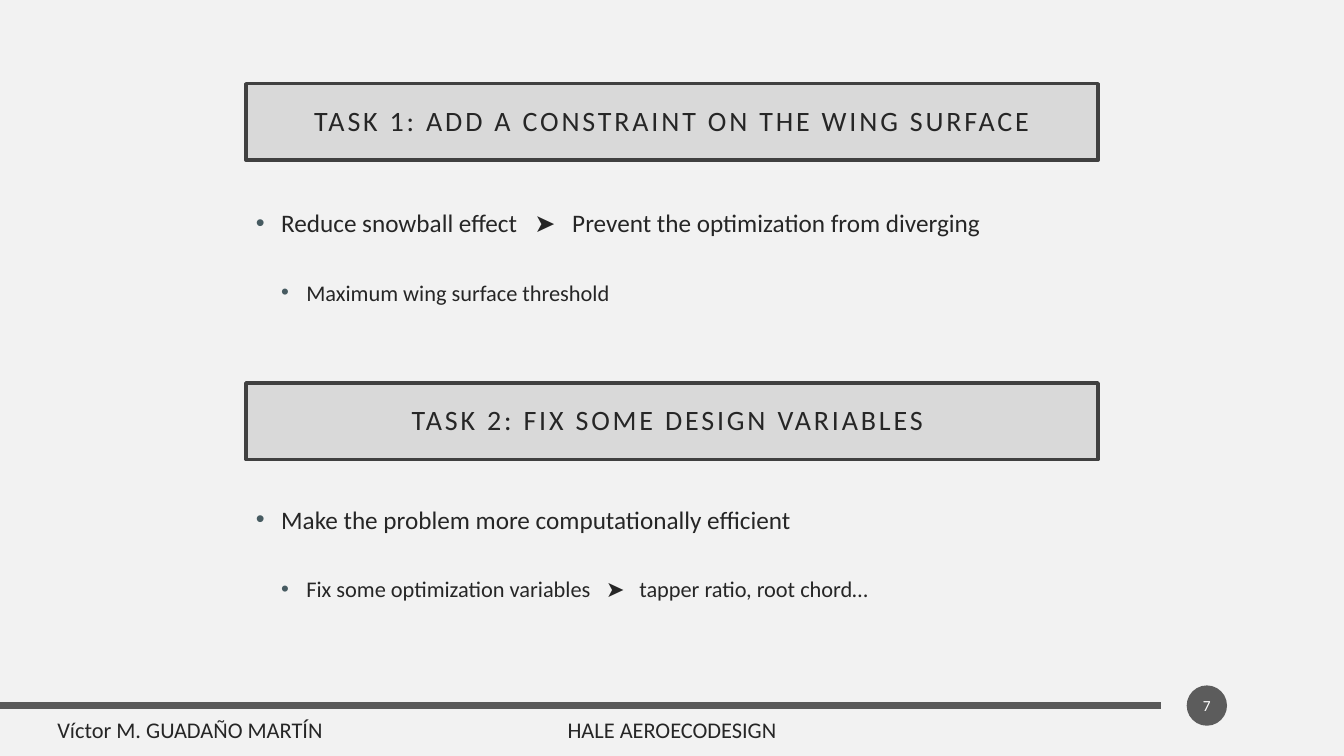
from lxml import etree
from pptx import Presentation
from pptx.dml.color import RGBColor
from pptx.enum import shapes, text
from pptx.oxml import ns
from pptx.util import Inches, Pt

# Content
TASKS = [
    ("TASK 1: ADD A CONSTRAINT ON THE WING SURFACE", 0.83, 1.71,
     ["Reduce snowball effect   ➤   Prevent the optimization from diverging",
      "Maximum wing surface threshold"]),
    ("TASK 2: FIX SOME DESIGN VARIABLES ", 3.8, 4.65,
     ["Make the problem more computationally efficient",
      "Fix some optimization variables   ➤   tapper ratio, root chord…"]),
]
FOOTERS = [
    ("Víctor M. GUADAÑO MARTÍN", 0.47, text.PP_ALIGN.LEFT),
    ("HALE AEROECODESIGN", 5.07, text.PP_ALIGN.CENTER),
]
PAGE_NUMBER = "7"

COLORS = {"background": "F2F2F2", "panel": "D9D9D9", "border": "404040",
          "text": "262626", "bullet": "475B61", "rule": "595959",
          "badge": "1D1D1D", "white": "FFFFFF"}
FONT = "Calibri"
LEFT, WIDTH = 2.44, 8.45
HEADING_HEIGHT, LIST_HEIGHT = 0.76, 2.0
LEVEL_SIZES = [18, 16]


def color(name):
    return RGBColor.from_string(COLORS[name])


def place(box, left, top, width, height):
    box.left, box.top = Inches(left), Inches(top)
    box.width, box.height = Inches(width), Inches(height)


def set_frame(frame, anchor, side=0.1, edge=0.05):
    frame.word_wrap = True
    frame.auto_size = text.MSO_AUTO_SIZE.NONE
    frame.vertical_anchor = anchor
    frame.margin_left = frame.margin_right = Inches(side)
    frame.margin_top = frame.margin_bottom = Inches(edge)


def add_span(para, words, size, ink="text"):
    span = para.add_run()
    span.text = words
    span.font.name, span.font.size = FONT, Pt(size)
    span.font.color.rgb = color(ink)
    return span


def add_text_box(left, top, width, height):
    box = page.shapes.add_textbox(Inches(left), Inches(top),
                                  Inches(width), Inches(height))
    set_frame(box.text_frame, text.MSO_ANCHOR.TOP)
    return box.text_frame


def format_heading(box, words, top):
    place(box, LEFT, top, WIDTH, HEADING_HEIGHT)
    box.fill.solid()
    box.fill.fore_color.rgb = color("panel")
    box.line.color.rgb = color("border")
    box.line.width = Pt(2.5)
    set_frame(box.text_frame, text.MSO_ANCHOR.MIDDLE, 0.2, 0.2)
    para = box.text_frame.paragraphs[0]
    para.alignment = text.PP_ALIGN.CENTER
    para.line_spacing = 0.9
    span = add_span(para, words, 20)
    span.font._element.set("spc", "200")


def add_bullet(para, level):
    para.level = level
    para.line_spacing = 2.0
    para.space_before = Pt(10)
    props = para._p.get_or_add_pPr()
    props.set("marL", str(Inches(0.25 * (level + 1))))
    props.set("indent", str(Inches(-0.25)))
    tint = etree.SubElement(props, ns.qn("a:buClr"))
    etree.SubElement(tint, ns.qn("a:srgbClr"), val=COLORS["bullet"])
    etree.SubElement(props, ns.qn("a:buFont"), typeface="Arial")
    etree.SubElement(props, ns.qn("a:buChar"), char="•")


# Slide
deck = Presentation()
deck.slide_width, deck.slide_height = Inches(13.33), Inches(7.5)
page = deck.slides.add_slide(deck.slide_layouts[5])
page.background.fill.solid()
page.background.fill.fore_color.rgb = color("background")

# Task headings and their bullet lists
for index, (heading, heading_top, list_top, points) in enumerate(TASKS):
    if index == 0:
        box = page.shapes.title
    else:
        box = page.shapes.add_shape(shapes.MSO_SHAPE.RECTANGLE, 0, 0, 0, 0)
        box.shadow.inherit = False
    format_heading(box, heading, heading_top)

    frame = add_text_box(LEFT, list_top, WIDTH, LIST_HEIGHT)
    for level, point in enumerate(points):
        para = frame.add_paragraph() if level else frame.paragraphs[0]
        add_bullet(para, level)
        add_span(para, point, LEVEL_SIZES[level])

# Footer rule
rule = page.shapes.add_connector(shapes.MSO_CONNECTOR.STRAIGHT,
                                 0, Inches(7), Inches(11.52), Inches(7))
rule.line.color.rgb = color("rule")
rule.line.width = Pt(4.5)
etree.SubElement(rule._element.spPr, ns.qn("a:effectLst"))

# Footer texts
for words, left, alignment in FOOTERS:
    para = add_text_box(left, 7.06, 3.19, 0.44).paragraphs[0]
    para.alignment = alignment
    para.space_before = Pt(10)
    add_span(para, words, 16)

# Page number badge, 70% opaque
badge = page.shapes.add_shape(shapes.MSO_SHAPE.OVAL, Inches(11.77), Inches(6.8),
                              Inches(0.4), Inches(0.4))
badge.shadow.inherit = False
badge.fill.solid()
badge.fill.fore_color.rgb = color("badge")
badge_fill = badge._element.spPr.find(ns.qn("a:solidFill"))
etree.SubElement(badge_fill[0], ns.qn("a:alpha"), val="70000")
badge.line.fill.background()
set_frame(badge.text_frame, text.MSO_ANCHOR.MIDDLE, 0.02, 0.05)
para = badge.text_frame.paragraphs[0]
para.alignment = text.PP_ALIGN.CENTER
add_span(para, PAGE_NUMBER, 11, "white")

deck.save("out.pptx")
